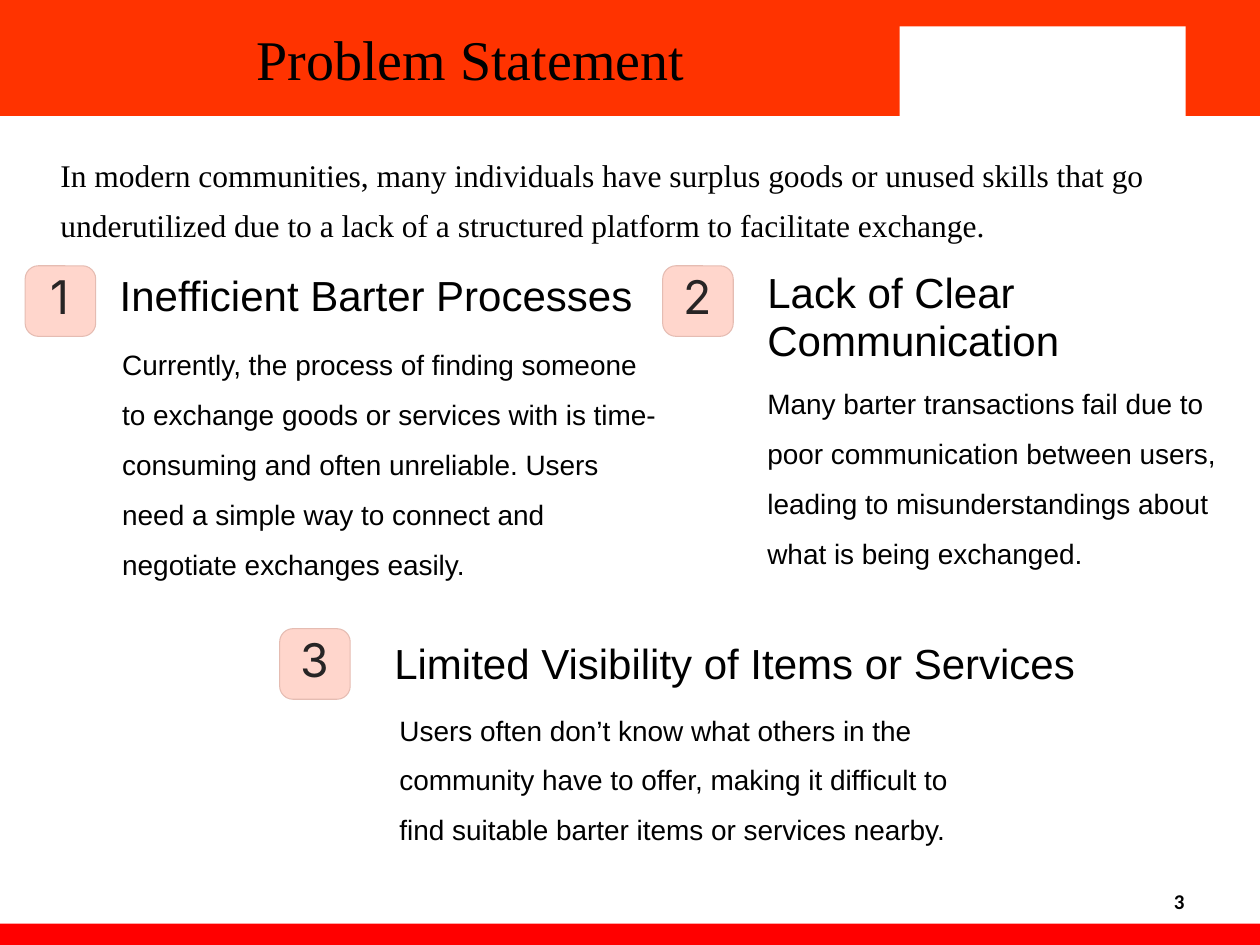
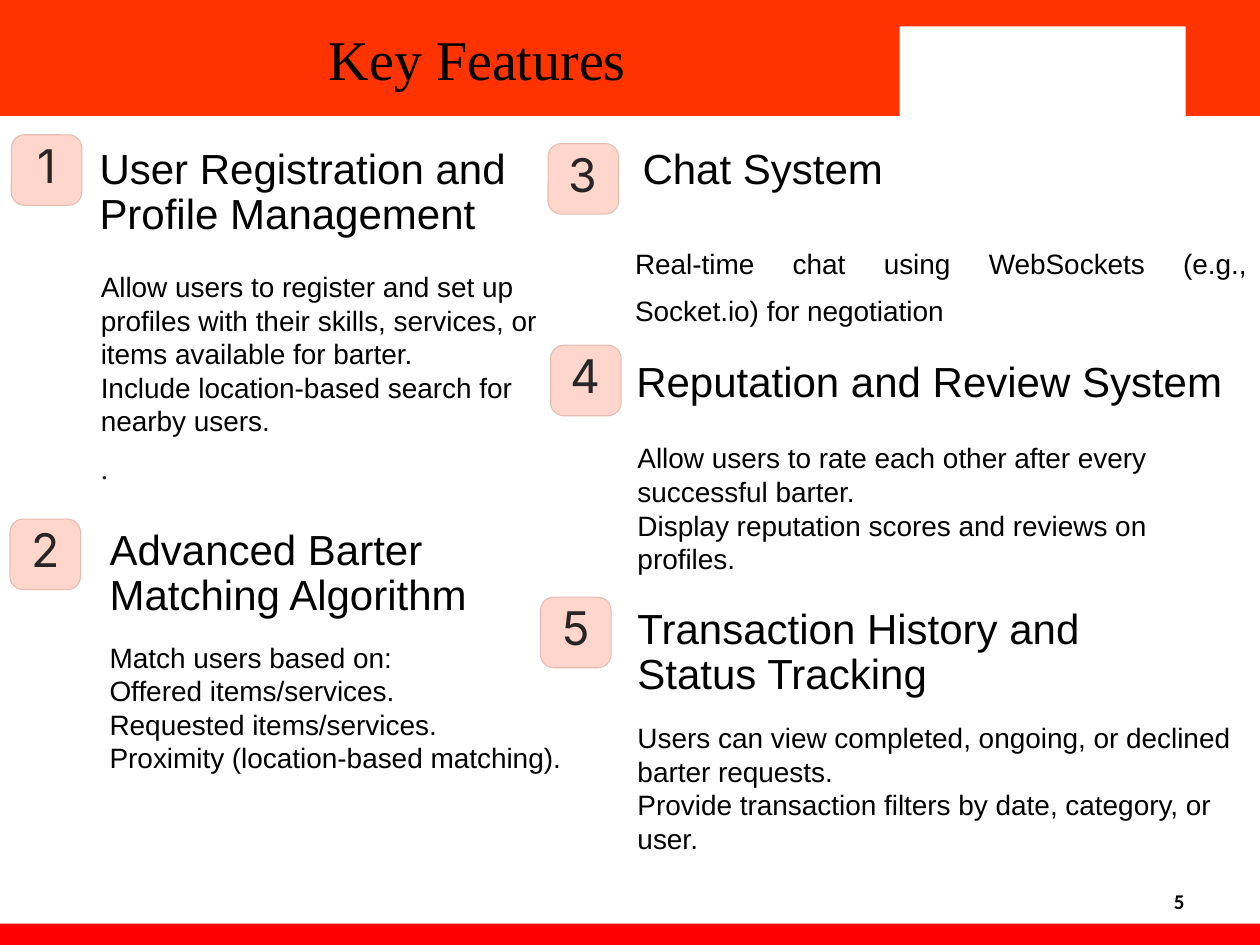
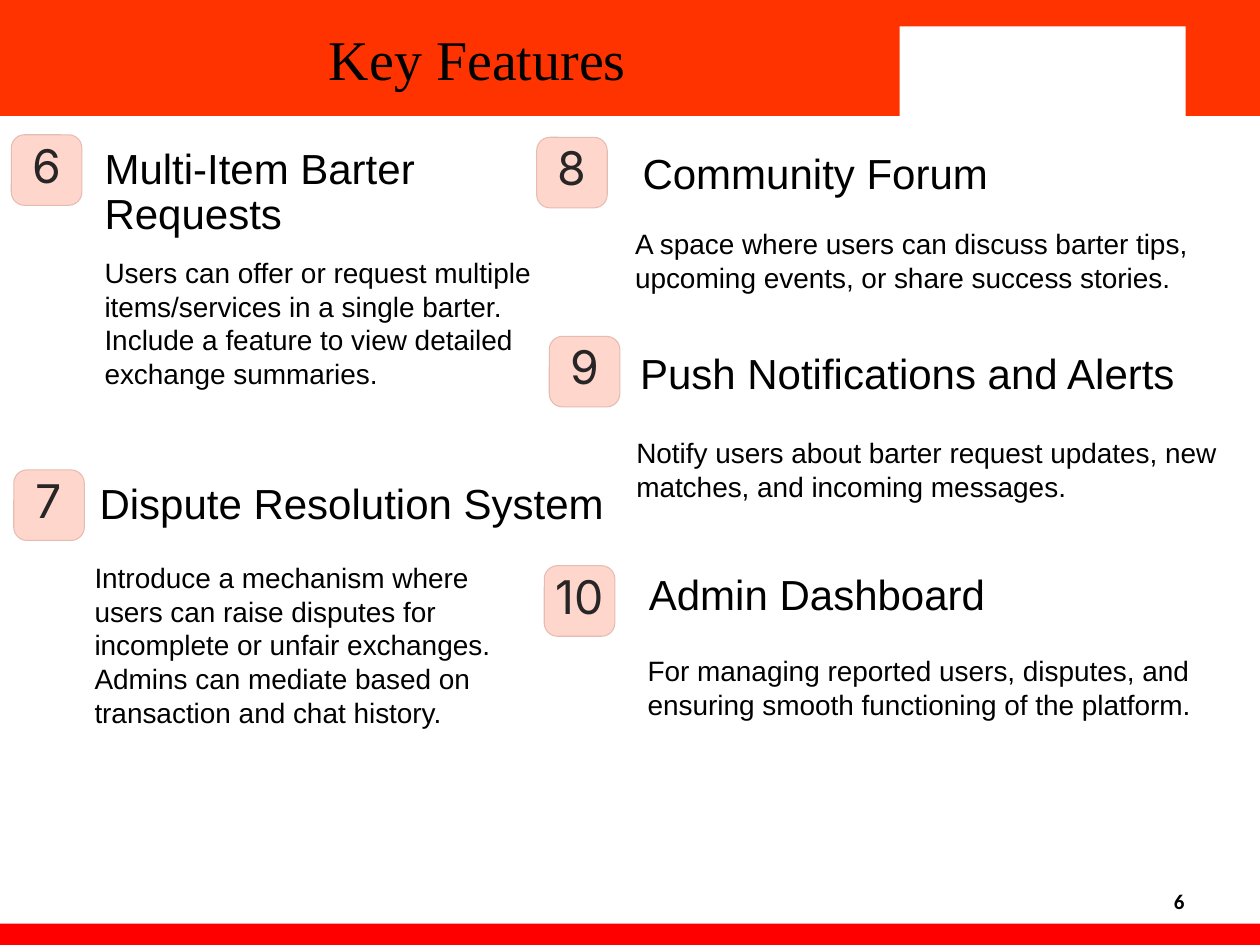
"""Builds three slides on a barter platform: the problem and its key features."""
from pptx import Presentation
from pptx.dml.color import RGBColor
from pptx.enum.shapes import MSO_SHAPE
from pptx.enum.text import MSO_ANCHOR, MSO_AUTO_SIZE, PP_ALIGN
from pptx.util import Inches, Pt

ORANGE = RGBColor(0xFF, 0x33, 0x00)
RED = RGBColor(0xFF, 0x00, 0x00)
WHITE = RGBColor(0xFF, 0xFF, 0xFF)
BLACK = RGBColor(0x00, 0x00, 0x00)
PINK = RGBColor(0xFF, 0xD6, 0xCC)
PINK_EDGE = RGBColor(0xE5, 0xBC, 0xB2)
CHARCOAL = RGBColor(0x27, 0x25, 0x25)

SANS, SERIF = "Arial", "Times New Roman"
BADGE = 0.56
BANDS = [
    ((0, 0, 10, 0.92), ORANGE),
    ((0, 7.33, 10, 0.17), RED),
    ((7.14, 0.21, 2.27, 0.75), WHITE),
]


def write(tf, text, size=16, font=SANS, color=BLACK, bold=False,
          align=PP_ALIGN.LEFT, leading=None):
    """Append each line of text to the frame as a formatted paragraph."""
    for line in text.split("\n"):
        p = tf.add_paragraph() if tf.text else tf.paragraphs[0]
        p.alignment = align
        if leading:
            p.line_spacing = Pt(leading)
        r = p.add_run()
        r.text = line
        r.font.size, r.font.name, r.font.bold = Pt(size), font, bold
        r.font.color.rgb = color


class Deck:
    """Holds the shared style and the current slide."""

    def __init__(self):
        self.prs = Presentation()
        self.prs.slide_width, self.prs.slide_height = Inches(10), Inches(7.5)
        self.layout = self.prs.slide_layouts[5]
        self.s = None

    def slide(self, title, number):
        """Start a slide with its title and page number."""
        first = self.s is None
        self.s = self.prs.slides.add_slide(self.layout)
        if first:
            self.bands()
        sp = self.s.shapes.title
        sp.left, sp.top, sp.width, sp.height = map(Inches, (0.5, 0, 6.58, 0.92))
        tf = sp.text_frame
        tf.auto_size, tf.vertical_anchor = MSO_AUTO_SIZE.NONE, MSO_ANCHOR.MIDDLE
        write(tf, title, size=32, font=SERIF, align=PP_ALIGN.CENTER)
        self.text((7.17, 6.95, 2.33, 0.4), str(number), margin=0.1,
                  anchor=MSO_ANCHOR.MIDDLE, size=12, font="Calibri",
                  bold=True, align=PP_ALIGN.RIGHT)

    def bands(self):
        """Place the coloured bands on the layout, behind its placeholders."""
        tree = self.layout.shapes._spTree
        for i, (at, color) in enumerate(BANDS):
            tree.insert(2 + i, self.shape(MSO_SHAPE.RECTANGLE, at, color)._element)

    def shape(self, kind, at, fill, line=None):
        """Add a filled preset shape."""
        sp = self.s.shapes.add_shape(kind, *map(Inches, at))
        sp.shadow.inherit = False
        sp.fill.solid()
        sp.fill.fore_color.rgb = fill
        if line:
            sp.line.color.rgb, sp.line.width = line, Pt(0.6)
        else:
            sp.line.fill.background()
        return sp

    def text(self, at, text, margin=0, anchor=MSO_ANCHOR.TOP, **fmt):
        """Add a wrapping text box and return its frame."""
        tf = self.s.shapes.add_textbox(*map(Inches, at)).text_frame
        tf.word_wrap, tf.vertical_anchor = True, anchor
        tf.margin_left = tf.margin_right = Inches(margin)
        tf.margin_top = tf.margin_bottom = Inches(margin / 2)
        write(tf, text, **fmt)
        return tf

    def badge(self, number, x, y):
        """Add a rounded square with a centred number."""
        sp = self.shape(MSO_SHAPE.ROUNDED_RECTANGLE, (x, y, BADGE, BADGE),
                        PINK, PINK_EDGE)
        sp.adjustments[0] = 0.187
        self.text((x, y + 0.09, BADGE, 0.37), str(number), size=26.5,
                  font="Inter", color=CHARCOAL, align=PP_ALIGN.CENTER, leading=26.5)

    def item(self, number, badge_at, head_at, head, body_at, body,
             head_leading=26, **body_fmt):
        """Add a numbered heading with its description and return the latter."""
        self.badge(number, *badge_at)
        lines = 1 + head.count("\n")
        self.text((*head_at, 0.37 * lines), head, size=24, leading=head_leading)
        return self.text(body_at, body, **body_fmt)


def problem_statement(deck):
    """Build the problem statement slide."""
    deck.slide("Problem Statement ", 3)
    deck.text((0.48, 1.14, 9.34, 1.02),
              "In modern communities, many individuals have surplus goods or unused skills that go\n"
              "underutilized due to a lack of a structured platform to facilitate exchange.",
              size=18, font=SERIF, leading=28.5)
    spacing = {"head_leading": 27.5, "leading": 28.5}
    deck.item(1, (0.2, 2.11), (0.95, 2.16, 4.25), "Inefficient Barter Processes",
              (0.97, 2.63, 4.26, 1.59),
              "Currently, the process of finding someone to exchange goods or services with is "
              "time-consuming and often unreliable. Users need a simple way to connect and "
              "negotiate exchanges easily.", **spacing)
    deck.item(2, (5.26, 2.11), (6.09, 2.13, 3.18), "Lack of Clear\nCommunication",
              (6.09, 2.94, 3.78, 1.19),
              "Many barter transactions fail due to poor communication between users, leading "
              "to misunderstandings about what is being exchanged.", **spacing)
    deck.item(3, (2.22, 4.99), (3.13, 5.08, 5.6), "Limited Visibility of Items or Services",
              (3.17, 5.53, 4.72, 1.59),
              "Users often don’t know what others in the community have to offer, making it "
              "difficult to find suitable barter items or services nearby.", **spacing)


def core_features(deck):
    """Build the slide with features one to five."""
    deck.slide("Key Features", 5)
    tf = deck.item(1, (0.09, 1.07), (0.79, 1.17, 3.57),
                   "User Registration and Profile Management",
                   (0.8, 2.14, 3.57, 1.88),
                   "Allow users to register and set up profiles with their skills, services, "
                   "or items available for barter.\n"
                   "Include location-based search for nearby users.")
    write(tf, ".", size=16.5, font=SERIF, color=CHARCOAL,
          align=PP_ALIGN.JUSTIFY, leading=27)
    deck.item(2, (0.08, 4.12), (0.87, 4.19, 3.2), "Advanced Barter\nMatching Algorithm",
              (0.87, 5.08, 3.8, 1.88),
              "Match users based on:\nOffered items/services.\n"
              "Requested items/services.\nProximity (location-based matching).")
    deck.item(3, (4.35, 1.14), (5.1, 1.17, 3.07), "Chat System", (5.04, 1.85, 4.86, 1.47),
              "Real-time chat using WebSockets (e.g., Socket.io) for negotiation",
              align=PP_ALIGN.JUSTIFY, leading=27)
    deck.item(4, (4.37, 2.74), (5.05, 2.86, 4.86), "Reputation and Review System",
              (5.06, 3.5, 4.86, 0.68),
              "Allow users to rate each other after every successful barter.\n"
              "Display reputation scores and reviews on profiles.")
    deck.item(5, (4.29, 4.74), (5.06, 4.82, 4.0), "Transaction History and\nStatus Tracking",
              (5.06, 5.72, 4.86, 1.47),
              "Users can view completed, ongoing, or declined barter requests.\n"
              "Provide transaction filters by date, category, or user.")


def further_features(deck):
    """Build the slide with features six to ten."""
    deck.slide("Key Features", 6)
    deck.item(6, (0.09, 1.07), (0.83, 1.17, 3.57), "Multi-Item Barter Requests",
              (0.83, 2.03, 3.57, 1.88),
              "Users can offer or request multiple items/services in a single barter.\n"
              "Include a feature to view detailed exchange summaries.")
    deck.item(7, (0.11, 3.73), (0.79, 3.83, 4.2), "Dispute Resolution System",
              (0.75, 4.45, 3.29, 1.88),
              "Introduce a mechanism where users can raise disputes for incomplete or "
              "unfair exchanges.\n"
              "Admins can mediate based on transaction and chat history.")
    deck.item(8, (4.26, 1.09), (5.1, 1.17, 3.07), "Community Forum", (5.04, 1.8, 4.86, 1.47),
              "A space where users can discuss barter tips, upcoming events, or share "
              "success stories.", head_leading=None)
    deck.item(9, (4.36, 2.67), (5.08, 2.8, 4.5), "Push Notifications and Alerts",
              (5.05, 3.46, 4.86, 0.68),
              "Notify users about barter request updates, new matches, and incoming messages.")
    deck.item(10, (4.32, 4.49), (5.15, 4.55, 3.07), "Admin Dashboard",
              (5.14, 5.19, 4.86, 1.47),
              "For managing reported users, disputes, and ensuring smooth functioning of "
              "the platform.")


def main():
    """Build and save the presentation."""
    deck = Deck()
    problem_statement(deck)
    core_features(deck)
    further_features(deck)
    deck.prs.save("out.pptx")


if __name__ == "__main__":
    main()
